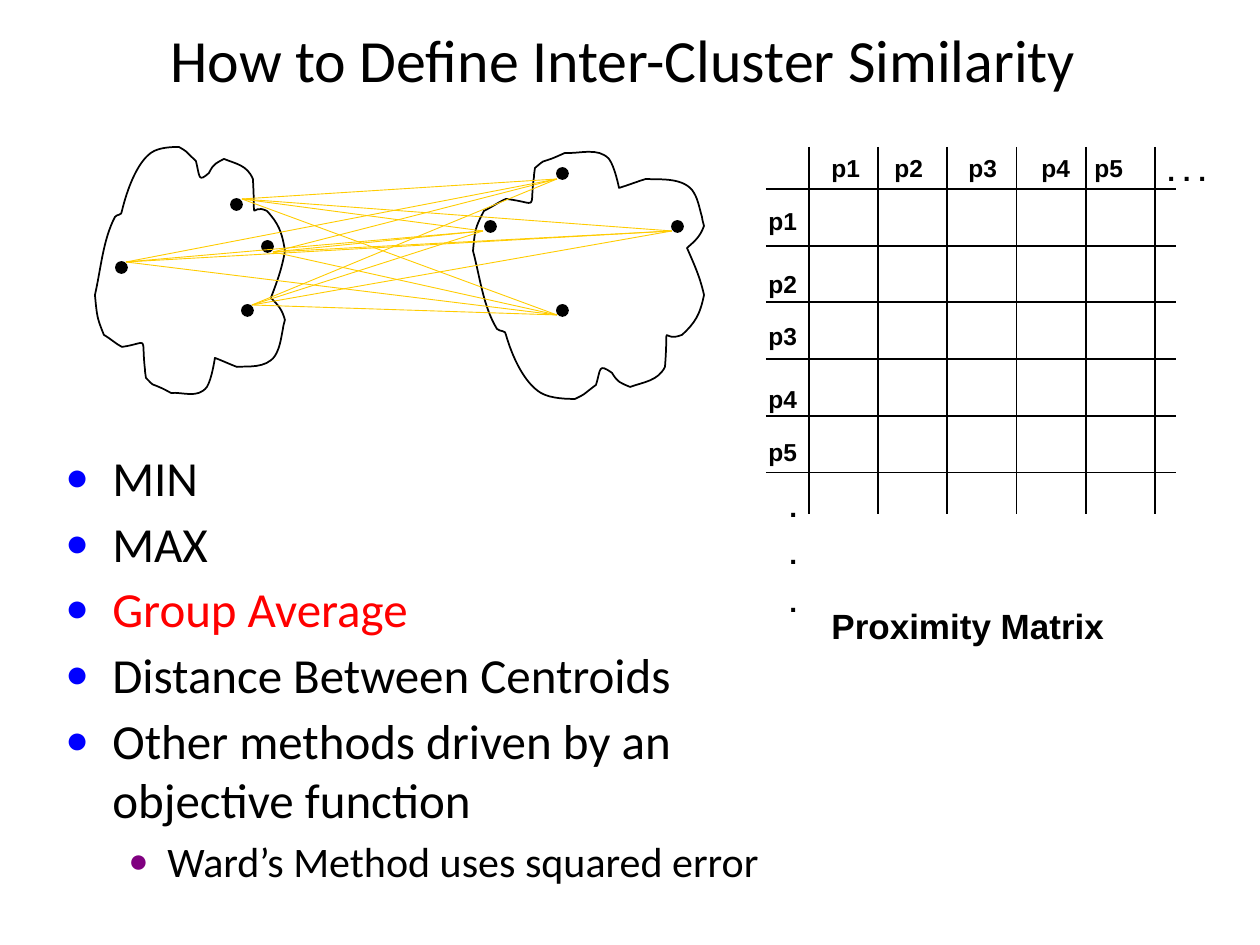
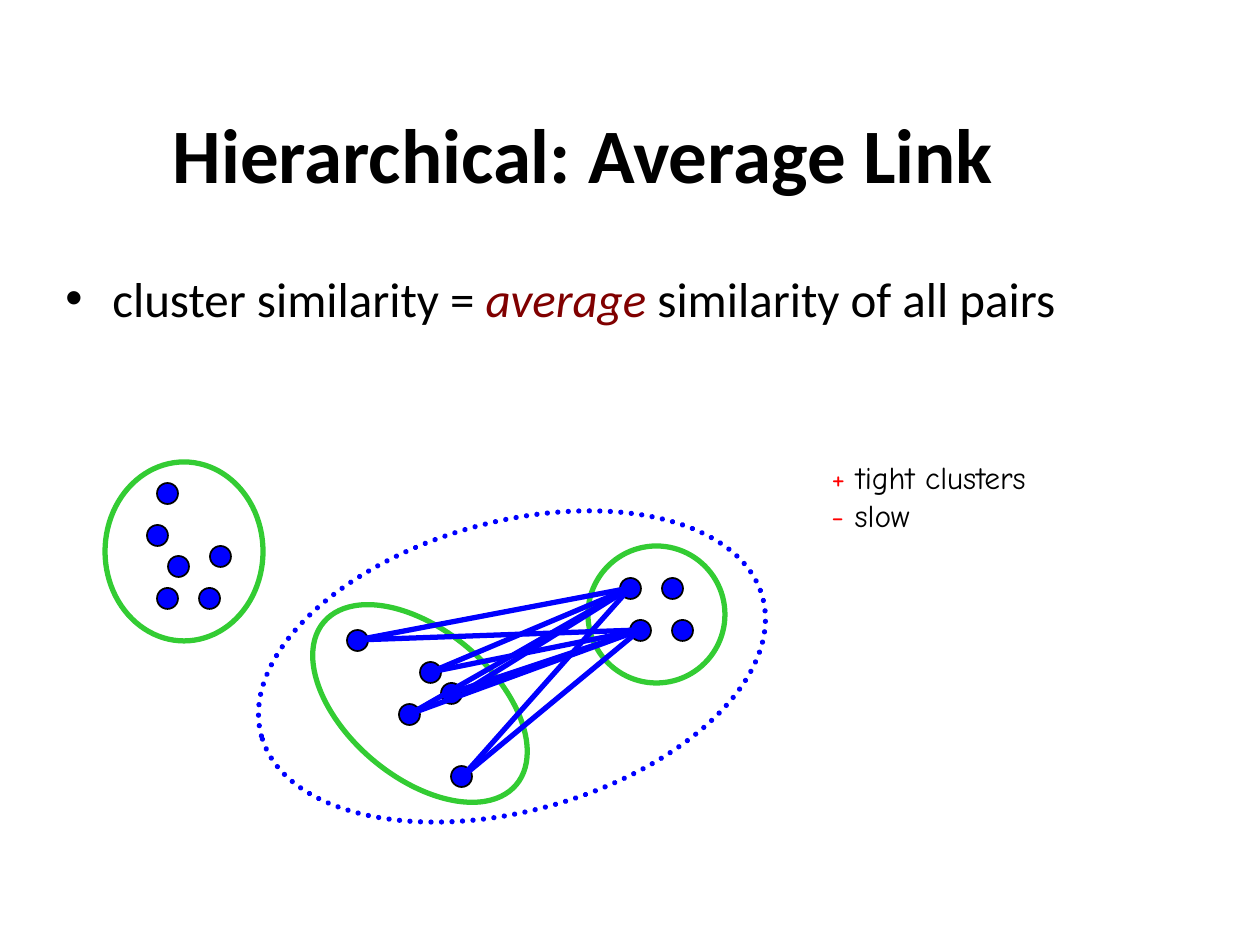
from itertools import product

from lxml.etree import SubElement
from pptx import Presentation
from pptx.dml.color import RGBColor
from pptx.enum.dml import MSO_LINE
from pptx.enum.shapes import MSO_CONNECTOR as CONN, MSO_SHAPE as SHAPE
from pptx.enum.text import MSO_ANCHOR as ANCHOR, PP_ALIGN as ALIGN
from pptx.oxml.ns import qn
from pptx.util import Pt

PX = 7257.14  # EMU per pixel, 126 pixels to the inch
BLACK, BLUE, RED, GREEN = "000000", "0000FF", "FF0000", "33CC33"
MAROON, PURPLE, GOLD = "800000", "800080", "FFCC00"
BODY, LABEL, NOTE = "Calibri", "Arial", "Comic Neue"

# Outline of a cluster in a box of 190 x 252: a start, then curves of
# two control points and an end
BLOB_W, BLOB_H = 190, 252
BLOB = [(20, 70),
        (8, 93), (6, 122), (0, 148), (2, 169), (2, 171), (9, 188),
        (16, 192), (21, 197), (27, 200), (55, 196), (46, 187), (50, 222),
        (50, 226), (51, 229), (51, 231), (60, 240), (55, 236), (64, 240),
        (67, 241), (76, 246), (76, 246), (88, 245), (103, 252), (112, 240),
        (117, 232), (120, 211), (120, 211), (128, 214), (134, 217), (142, 220),
        (152, 219), (171, 222), (180, 209), (185, 201), (186, 192), (188, 182),
        (188, 180), (190, 173), (190, 173), (187, 162), (183, 158), (176, 151),
        (182, 135), (187, 122), (190, 104), (187, 84), (183, 76), (172, 64),
        (154, 55), (161, 83), (158, 32), (152, 18), (141, 17), (129, 12),
        (122, 16), (119, 16), (114, 26), (103, 36), (105, 30), (101, 14),
        (88, 2), (94, 6), (84, 0), (79, 0), (64, 0), (56, 6),
        (42, 16), (32, 43), (27, 64), (27, 69), (22, 67), (20, 70)]


def emu(v):
    return int(round(v * PX))


def rgb(h):
    return RGBColor.from_string(h)


# ---- Basic parts ----
def line(s, x1, y1, x2, y2, color=BLACK, width=1):
    c = s.shapes.add_connector(CONN.STRAIGHT, emu(x1), emu(y1), emu(x2), emu(y2))
    c.line.color.rgb = rgb(color)
    c.line.width = Pt(width)
    SubElement(c._element.spPr, qn("a:effectLst"))


def links(s, starts, ends, color, width):
    """Join every start to every end."""
    for a, b in product(starts, ends):
        line(s, *a, *b, color, width)


def outline(sp, color, width, fill=None):
    sp.shadow.inherit = False
    sp.line.color.rgb = rgb(color)
    sp.line.width = Pt(width)
    if fill:
        sp.fill.solid()
        sp.fill.fore_color.rgb = rgb(fill)
    else:
        sp.fill.background()


def ellipse(s, x, y, w, h, color=BLACK, width=1, fill=None, rot=0):
    sp = s.shapes.add_shape(SHAPE.OVAL, emu(x), emu(y), emu(w), emu(h))
    outline(sp, color, width, fill)
    sp.rotation = rot
    return sp


def dots(s, corners, size, fill):
    for x, y in corners:
        ellipse(s, x, y, size, size, fill=fill)


def text(s, x, y, w, h, paras, size, font, bold=False, anchor=ANCHOR.TOP):
    """Each paragraph is a list of runs: (text, colour, italic)."""
    tf = s.shapes.add_textbox(emu(x), emu(y), emu(w), emu(h)).text_frame
    tf.word_wrap = True
    tf.vertical_anchor = anchor
    for i, runs in enumerate(paras):
        p = tf.paragraphs[0] if i == 0 else tf.add_paragraph()
        for words, color, italic in runs:
            r = p.add_run()
            r.text = words
            f = r.font
            f.name, f.size, f.bold, f.italic = font, Pt(size), bold, italic
            f.color.rgb = rgb(color)
    return tf


def plain(words, color=BLACK):
    return [(words, color, False)]


def title(s, x, y, w, h, words, size, bold=False):
    tf = text(s, x, y, w, h, [plain(words)], size, BODY, bold, ANCHOR.MIDDLE)
    tf.paragraphs[0].alignment = ALIGN.CENTER


def bullet(p, char, indent, hang, color=BLACK, percent=100):
    pPr = p._p.get_or_add_pPr()
    pPr.set("marL", str(emu(indent)))
    pPr.set("indent", str(-emu(hang)))
    SubElement(SubElement(pPr, qn("a:buClr")), qn("a:srgbClr"), val=color)
    SubElement(pPr, qn("a:buSzPct"), val=str(percent * 1000))
    SubElement(pPr, qn("a:buFont"), typeface=LABEL)
    SubElement(pPr, qn("a:buChar"), char=char)


def blob(s, x, y, w, h, flip=False):
    points = [(x + px * w / BLOB_W, y + (BLOB_H - py if flip else py) * h / BLOB_H)
              for px, py in BLOB]
    fb = s.shapes.build_freeform(*points[0], scale=PX)
    fb.add_line_segments(points[1:], close=True)
    sp = fb.convert_to_shape()
    outline(sp, BLACK, 1)
    # Turn each three segments into one curve
    segments = list(sp._element.iter(qn("a:lnTo")))
    for i in range(0, len(segments), 3):
        curve = segments[i]
        curve.tag = qn("a:cubicBezTo")
        for extra in segments[i + 1:i + 3]:
            curve.append(extra[0])
            extra.getparent().remove(extra)


# ---- Regions of the first slide ----
def cluster_pair(s, x, y):
    def at(points):
        return [(x + dx, y + dy) for dx, dy in points]

    blob(s, x, y, 190, 252)
    dots(s, at([(147, 158), (136, 52), (21, 115), (167, 94)]), 11, BLACK)
    blob(s, x + 378, y, 231, 252, flip=True)
    dots(s, at([(577, 74), (390, 74), (462, 158), (462, 21)]), 11, BLACK)
    links(s, at([(157, 158), (178, 105), (31, 115), (147, 52)]),
          at([(462, 168), (388, 84), (462, 32), (577, 84)]), GOLD, 0.5)


def proximity_matrix(s, x, y, w, h):
    # Rules: six each way
    for i in range(6):
        cx, cy = x + 42.7 + 69.3 * i, y + 42 + 56.7 * i
        line(s, cx, y, cx, y + h)
        line(s, x, cy, x + w, cy)

    # Row and column names
    def label(dx, dy, words):
        text(s, x + dx, y + dy, 73, 42, [plain(words)], 14, LABEL, True)

    for i, (dx, dy) in enumerate(zip((53, 116, 190, 263, 316),
                                     (53, 116, 168, 231, 284)), 1):
        label(-10, dy, f"p{i}")
        label(dx, 0, f"p{i}")

    # Continuation dots and caption
    text(s, x + 389, y, 73, 47, [plain(". . .")], 16, LABEL, True)
    tf = text(s, x + 11, y + 336, 73, 147, [plain(".")] * 3, 16, LABEL, True)
    for p in tf.paragraphs[1:]:
        p.space_before = Pt(8)
    text(s, x + 53, y + 451, 346, 54, [plain("Proximity Matrix")], 20, LABEL, True)


def method_list(s, x, y, w, h):
    items = [plain("MIN"), plain("MAX"), plain("Group Average", RED),
             plain("Distance Between Centroids"),
             plain("Other methods driven by an objective function"),
             plain("Ward\u2019s Method uses squared error")]
    tf = text(s, x, y, w, h, items, 28, BODY)
    *main, sub = tf.paragraphs
    for p in main:
        bullet(p, "\u25cf", 47, 47, BLUE, 80)
    sub.level = 1
    bullet(sub, "\u25cf", 102, 39, PURPLE, 80)
    sub.runs[0].font.size = Pt(24)
    for p in tf.paragraphs:
        p.space_before = p.space_after = Pt(2)


# ---- Regions of the second slide ----
def average_link(s, x, y):
    def at(points):
        return [(x + dx, y + dy) for dx, dy in points]

    alone = [(52, 21), (42, 63), (105, 84), (63, 94), (52, 126), (94, 126)]
    lower = [(242, 168), (315, 200), (336, 221), (294, 242), (346, 304)]
    upper = [(515, 116), (557, 116), (525, 158), (567, 158)]
    dots(s, at(alone + lower + upper), 21, BLUE)

    # Clusters, and the merged one
    ellipse(s, x, y, 158, 179, GREEN, 3)
    ellipse(s, x + 483, y + 84, 137, 137, GREEN, 3)
    ellipse(s, x + 189, y + 168, 252, 147, GREEN, 3, rot=40.2)
    merged = ellipse(s, x + 147, y + 60, 520, 289, BLUE, 3, rot=344.5)
    merged.line.dash_style = MSO_LINE.ROUND_DOT
    merged._element.spPr.find(qn("a:ln")).set("cap", "rnd")

    # Links from two upper dots to all the lower ones
    ends = [(252, 178), (326, 210), (305, 252), (357, 315)]
    links(s, at([(525, 126)]), at(ends + [(357, 231)]), BLUE, 3)
    links(s, at([(535, 168)]), at(ends + [(346, 231)]), BLUE, 3)


def similarity_slide(prs):
    s = prs.slides.add_slide(prs.slide_layouts[6])
    title(s, 52, 21, 1142, 76, "How to Define Inter-Cluster Similarity", 34.2)
    proximity_matrix(s, 766, 147, 410, 367)
    cluster_pair(s, 95, 147)
    method_list(s, 53, 441, 798, 431)


def average_link_slide(prs):
    s = prs.slides.add_slide(prs.slide_layouts[6])
    title(s, 43, 95, 1081, 116, "Hierarchical: Average Link", 44, True)
    tf = text(s, 53, 262, 1029, 136,
              [[("cluster similarity = ", BLACK, False), ("average", MAROON, True),
                (" similarity of all pairs", BLACK, False)]], 28, BODY)
    bullet(tf.paragraphs[0], "\u2022", 47, 47)
    average_link(s, 105, 462)
    text(s, 819, 452, 378, 139,
         [plain(sign, RED) + plain(words) for sign, words in
          [("+", " tight clusters"), ("-", " slow")]], 18, NOTE)


prs = Presentation()
prs.slide_width, prs.slide_height = emu(1260), emu(945)
similarity_slide(prs)
average_link_slide(prs)
prs.save("out.pptx")
